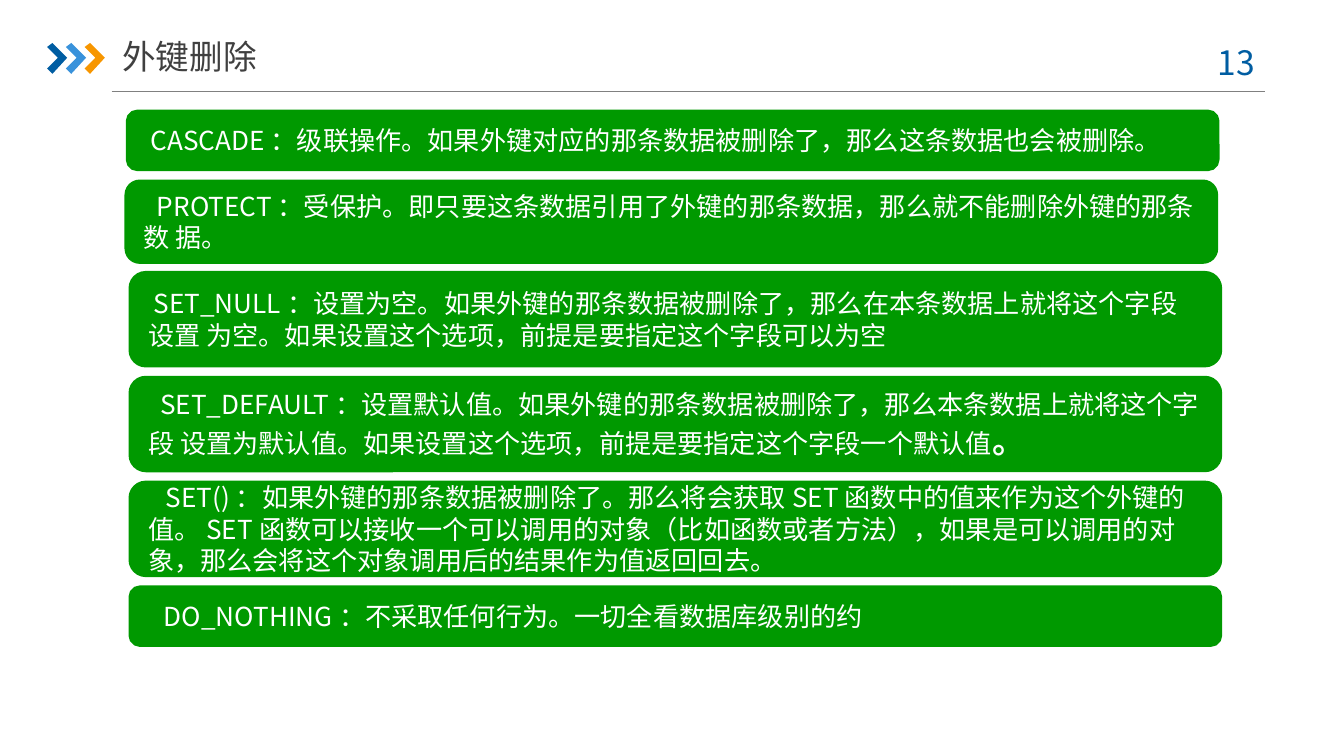
from dataclasses import dataclass

from lxml.etree import SubElement
from pptx import Presentation
from pptx.dml.color import RGBColor
from pptx.enum.shapes import MSO_CONNECTOR as Connector, MSO_SHAPE as Shape
from pptx.enum.text import MSO_ANCHOR as Anchor, PP_ALIGN as Align
from pptx.oxml.ns import qn
from pptx.util import Inches, Pt

COLORS = {
    "navy": "005DA2", "sky": "3992DB", "orange": "F79600", "green": "009900",
    "rule": "808080", "title": "404040", "white": "FFFFFF",
}
FONT = "Noto Sans CJK SC"
BAR_WIDTH = 8.11
CHEVRON = [(0, 0.03), (0.04, 0), (0.15, 0.11), (0.04, 0.23), (0, 0.19), (0.08, 0.11)]


@dataclass
class Option:
    left: float
    top: float
    height: float
    indent: float
    text: str
    bold_end: str = ""


OPTIONS = [
    Option(0.95, 0.83, 0.43, 0.05,
           "CASCADE ：级联操作。如果外键对应的那条数据被删除了，那么这条数据也会被删除。"),
    Option(0.94, 1.35, 0.6, 0.1,
           "PROTECT ：受保护。即只要这条数据引用了外键的那条数据，"
           "那么就不能删除外键的那条数 据。"),
    Option(0.97, 2.03, 0.69, 0.04,
           "SET_NULL ：设置为空。如果外键的那条数据被删除了，那么在本条数据上就将这个字段设置 "
           "为空。如果设置这个选项，前提是要指定这个字段可以为空"),
    Option(0.97, 2.81, 0.69, 0.09,
           "SET_DEFAULT ：设置默认值。如果外键的那条数据被删除了，那么本条数据上就将这个字段 "
           "设置为默认值。如果设置这个选项，前提是要指定这个字段一个默认值", "。"),
    Option(0.97, 3.59, 0.69, 0.13,
           "SET() ：如果外键的那条数据被删除了。那么将会获取 SET 函数中的值来作为这个外键的 值。 "
           "SET 函数可以接收一个可以调用的对象（比如函数或者方法），如果是可以调用的对 象，"
           "那么会将这个对象调用后的结果作为值返回回去。"),
    Option(0.97, 4.37, 0.43, 0.13,
           "DO_NOTHING ：不采取任何行为。一切全看数据库级别的约"),
]


def rgb(name: str) -> RGBColor:
    return RGBColor.from_string(COLORS[name])


def style(para, size: float, color: str, align=Align.LEFT) -> None:
    para.alignment = align
    para.font.size = Pt(size)
    para.font.color.rgb = rgb(color)
    para.font.name = FONT
    defaults = para._p.pPr.find(qn("a:defRPr"))
    SubElement(defaults, qn("a:ea")).set("typeface", FONT)


def draw_chevron(page, left: float, color: str) -> None:
    points = [(Inches(left + x), Inches(0.32 + y)) for x, y in CHEVRON]
    builder = page.shapes.build_freeform(*points[0])
    builder.add_line_segments(points[1:], close=True)
    chevron = builder.convert_to_shape()
    chevron.shadow.inherit = False
    chevron.fill.solid()
    chevron.fill.fore_color.rgb = rgb(color)
    chevron.line.fill.background()


def draw_option(page, option: Option) -> None:
    box = page.shapes.add_shape(
        Shape.ROUNDED_RECTANGLE, Inches(option.left), Inches(option.top),
        Inches(BAR_WIDTH), Inches(option.height))
    box.shadow.inherit = False
    box.fill.solid()
    box.fill.fore_color.rgb = rgb("green")
    box.line.color.rgb = rgb("green")
    box.line.width = Pt(2)
    frame = box.text_frame
    frame.word_wrap = True
    frame.vertical_anchor = Anchor.MIDDLE
    para = frame.paragraphs[0]
    para.add_run().text = option.text
    style(para, 14, "white")
    para._p.pPr.set("indent", str(Inches(option.indent)))
    if option.bold_end:
        span = para.add_run()
        span.text = option.bold_end
        span.font.size = Pt(18)
        span.font.bold = True
        span.font.name = "Calibri"


# Widescreen page, 16:9
deck = Presentation()
deck.slide_width = Inches(10)
deck.slide_height = deck.slide_width * 9 // 16
page = deck.slides.add_slide(deck.slide_layouts[5])

# Header: rule, chevrons, page number and title
rule = page.shapes.add_connector(
    Connector.STRAIGHT, Inches(0.83), Inches(0.68), Inches(9.41), Inches(0.68))
rule.line.color.rgb = rgb("rule")
rule.line.width = Pt(0.75)
SubElement(rule._element.spPr, qn("a:effectLst"))

for index, color in enumerate(("navy", "sky", "orange")):
    draw_chevron(page, 0.35 + 0.14 * index, color)

number = page.shapes.add_textbox(Inches(8.86), Inches(0.26), Inches(0.73), Inches(0.4))
number.text_frame.word_wrap = True
number.text_frame.margin_right = Inches(0.15)
number.text_frame.text = "13"
style(number.text_frame.paragraphs[0], 18, "navy", Align.CENTER)

title = page.shapes.title
title.left, title.top = Inches(0.91), Inches(0.21)
title.width, title.height = Inches(1.97), Inches(0.42)
title.text_frame.text = "外键删除"
title.text_frame.vertical_anchor = Anchor.MIDDLE
title.text_frame.margin_left = title.text_frame.margin_right = 0
style(title.text_frame.paragraphs[0], 18, "title")

# Deletion options
for option in OPTIONS:
    draw_option(page, option)

deck.save("out.pptx")
